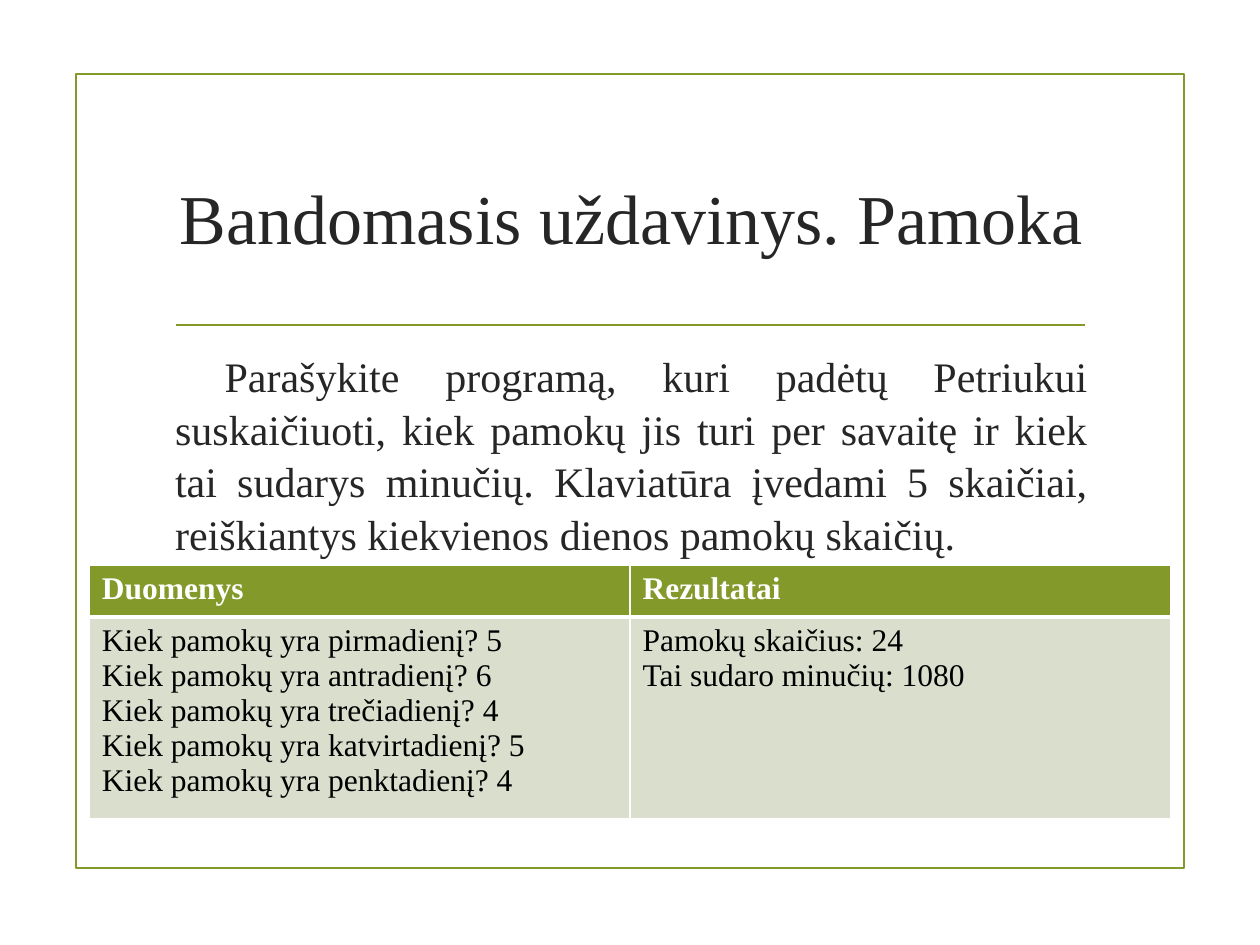
from lxml import etree
from pptx import Presentation
from pptx import util as u
from pptx.dml.color import RGBColor
from pptx.enum import shapes, text
from pptx.oxml.ns import qn

# Content
TITLE = "Bandomasis uždavinys. Pamoka"
TASK = ("Parašykite programą, kuri padėtų Petriukui suskaičiuoti, kiek pamokų "
        "jis turi per savaitę ir kiek tai sudarys minučių. Klaviatūra įvedami "
        "5 skaičiai, reiškiantys kiekvienos dienos pamokų skaičių.")
HEADERS = ["Duomenys", "Rezultatai"]
LESSONS = [("pirmadienį", 5), ("antradienį", 6), ("trečiadienį", 4),
           ("katvirtadienį", 5), ("penktadienį", 4)]
INPUTS = [f"Kiek pamokų yra {day}? {count}" for day, count in LESSONS]
RESULTS = ["Pamokų skaičius: 24", "Tai sudaro minučių: 1080"]
ROWS = [[[h] for h in HEADERS], [INPUTS, RESULTS]]

FONT = "Times New Roman"
GREEN, PALE, WHITE, BLACK, DARK = "83992A", "D9DECD", "FFFFFF", "000000", "262626"


def rgb(value):
    return RGBColor.from_string(value)


def style(p, size, color, bold=False):
    p.font.name, p.font.size, p.font.bold = FONT, u.Pt(size), bold
    p.font.color.rgb = rgb(color)


def add_text(s, box, content, size, anchor, align):
    tf = s.shapes.add_textbox(*map(u.Cm, box)).text_frame
    tf.word_wrap, tf.vertical_anchor = True, anchor
    p = tf.paragraphs[0]
    p.text, p.alignment = content, align
    style(p, size, DARK)
    return p


def set_borders(cell, widths):
    """Add white borders; they must precede the fill in the cell properties."""
    tcPr = cell._tc.get_or_add_tcPr()
    for i, (side, width) in enumerate(widths.items()):
        ln = etree.Element(qn(f"a:ln{side}"), w=str(u.Pt(width)))
        fill = etree.SubElement(ln, qn("a:solidFill"))
        etree.SubElement(fill, qn("a:srgbClr"), val=WHITE)
        tcPr.insert(i, ln)


prs = Presentation()
prs.slide_width, prs.slide_height = u.Cm(25.4), u.Cm(19.05)
s = prs.slides.add_slide(prs.slide_layouts[6])

# Frame
frame = s.shapes.add_shape(shapes.MSO_SHAPE.RECTANGLE,
                           *map(u.Cm, (1.54, 1.5, 22.33, 16)))
frame.shadow.inherit = False
frame.fill.background()
frame.line.color.rgb, frame.line.width = rgb(GREEN), u.Pt(1.25)

# Rule under the title
rule = s.shapes.add_connector(shapes.MSO_CONNECTOR.STRAIGHT,
                              *map(u.Cm, (3.55, 6.55, 21.87, 6.55)))
rule.line.color.rgb, rule.line.width = rgb(GREEN), u.Pt(1.25)
etree.SubElement(rule._element.spPr, qn("a:effectLst"))

# Title and task
add_text(s, (3.28, 2.54, 18.9, 3.63), TITLE, 40,
         text.MSO_ANCHOR.MIDDLE, text.PP_ALIGN.CENTER)
p = add_text(s, (3.28, 6.91, 18.9, 9.58), TASK, 24,
             text.MSO_ANCHOR.TOP, text.PP_ALIGN.JUSTIFY)
p.space_before, p.space_after, p.line_spacing = u.Pt(2), u.Pt(6), 1.04
p._p.get_or_add_pPr().set("indent", str(u.Cm(1)))

# Table of data and results
table = s.shapes.add_table(2, 2, *map(u.Cm, (1.8, 11.4, 21.8, 4.75))).table
for row, height in zip(table.rows, (1.04, 3.71)):
    row.height = u.Cm(height)
for r, row in enumerate(ROWS):
    header = r == 0
    for c, lines in enumerate(row):
        cell = table.cell(r, c)
        cell.fill.solid()
        cell.fill.fore_color.rgb = rgb(GREEN if header else PALE)
        set_borders(cell, {"L": 1, "R": 1, "T": 1 if header else 3,
                           "B": 3 if header else 1})
        cell.text = "\n".join(lines)
        for p in cell.text_frame.paragraphs:
            style(p, 18, WHITE if header else BLACK, header)

prs.save("out.pptx")
